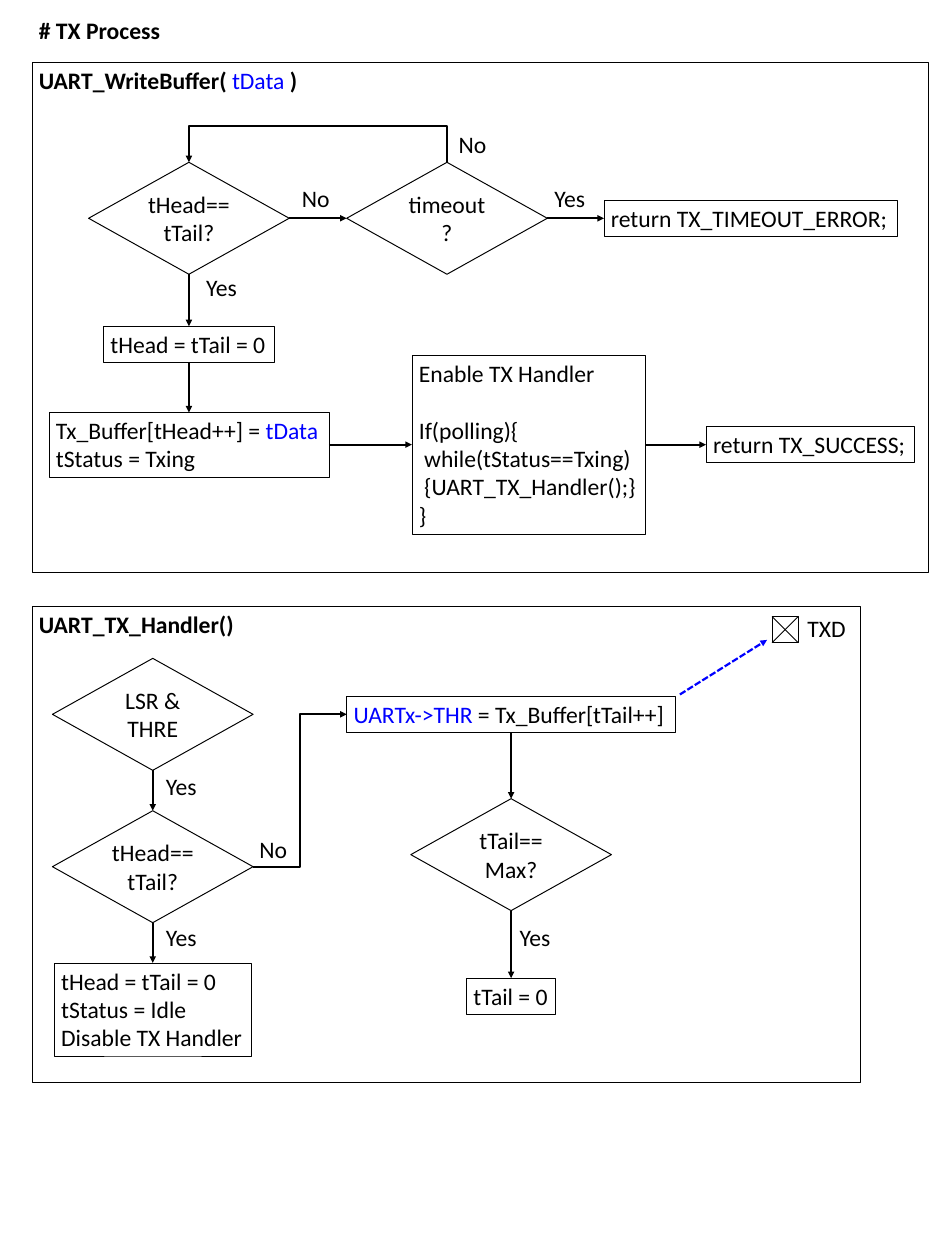
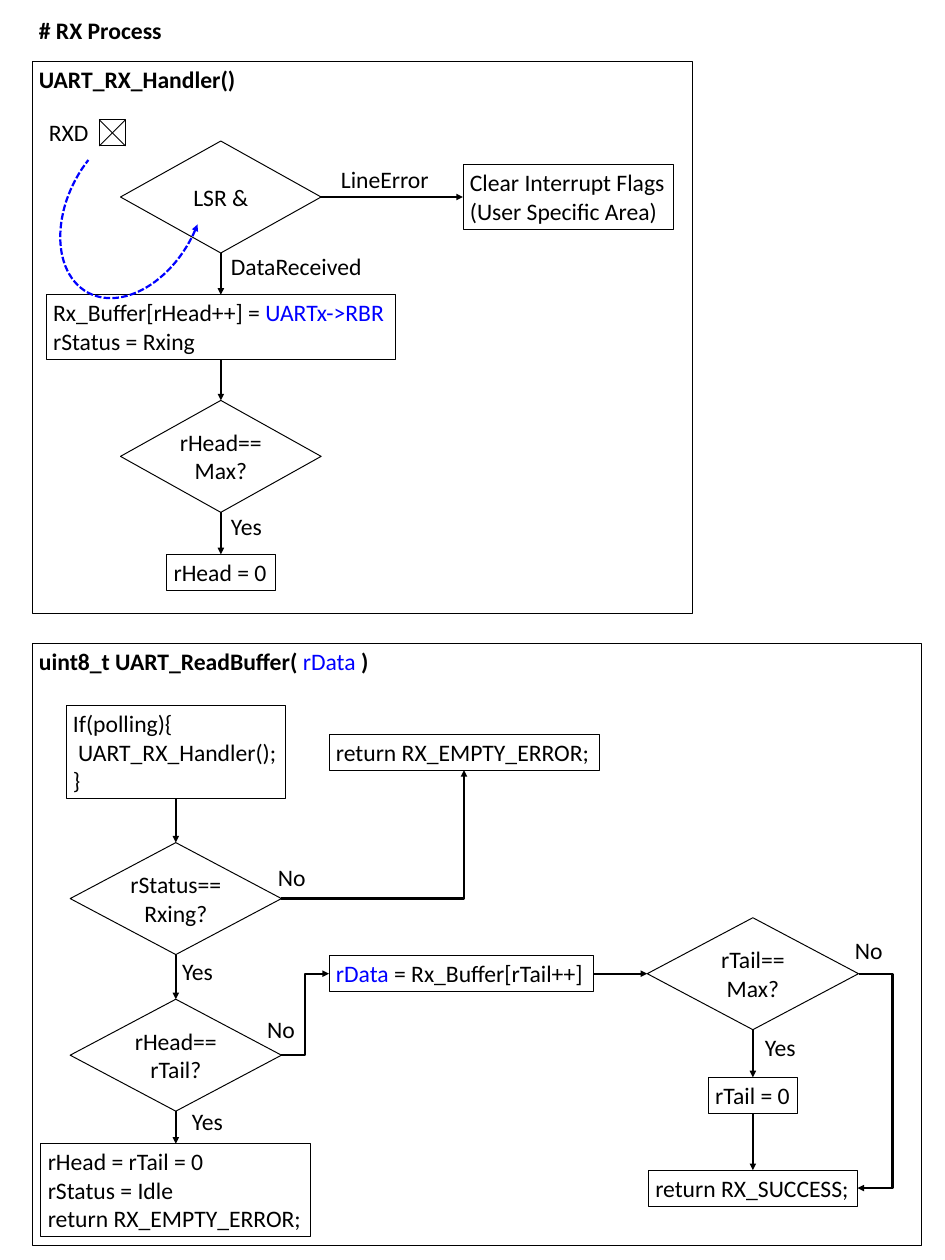
from dataclasses import dataclass

from lxml import etree
from pptx import Presentation
from pptx.dml.color import RGBColor
from pptx.enum.dml import MSO_LINE
from pptx.enum.shapes import MSO_CONNECTOR, MSO_SHAPE
from pptx.enum.text import MSO_ANCHOR, PP_ALIGN
from pptx.oxml.ns import qn
from pptx.util import Inches, Pt

RECTANGLE, DIAMOND, ARC = MSO_SHAPE.RECTANGLE, MSO_SHAPE.DIAMOND, MSO_SHAPE.ARC
STRAIGHT, ELBOW = MSO_CONNECTOR.STRAIGHT, MSO_CONNECTOR.ELBOW
LEFT_ALIGN, CENTRE_ALIGN = PP_ALIGN.LEFT, PP_ALIGN.CENTER
ANCHOR_TOP, ANCHOR_MIDDLE = MSO_ANCHOR.TOP, MSO_ANCHOR.MIDDLE
DASHED = MSO_LINE.SQUARE_DOT
TOP, LEFT, BOTTOM, RIGHT = range(4)


@dataclass(frozen=True)
class Theme:
    """Colours, type, line widths in points and sizes in grid cells."""

    ink: RGBColor = RGBColor(0, 0, 0)
    accent: RGBColor = RGBColor(0, 0, 255)
    paper: RGBColor = RGBColor(255, 255, 255)
    font: str = "Calibri"
    size: float = 24
    blank_line: float = 29
    frame_line: float = 0.75
    outline: float = 1
    flow_line: float = 2.25
    row: float = 4.04
    padding: float = 1.01
    diamond_width: float = 28.3
    diamond_height: float = 15.8
    pad: float = 3.7


THEME = Theme()


def cells(count):
    """Turn a count of grid cells, a tenth of an inch each, into a length."""
    return Inches(count / 10)


def text_height(rows):
    """Return the height in cells of a box with this many text rows."""
    return THEME.padding + THEME.row * rows


def write(holder, lines, bold=False, accent="", align=LEFT_ALIGN,
          anchor=ANCHOR_TOP, wrap=False, first_gap=0):
    """Write one paragraph per line, with the accent words in blue."""
    frame = holder.text_frame
    frame.word_wrap = wrap
    frame.vertical_anchor = anchor
    for index, line in enumerate(lines):
        para = frame.add_paragraph() if index else frame.paragraphs[0]
        para.alignment = align
        if first_gap and index == 0:
            para.space_after = Pt(first_gap)
        for text in line.partition(accent) if accent else (line,):
            if text:
                span = para.add_run()
                span.text = text
                font = span.font
                font.name, font.size = THEME.font, Pt(THEME.size)
                font.bold = bold and text != accent
                font.color.rgb = THEME.accent if text == accent else THEME.ink


def stroke(item, width, colour=THEME.ink, dash=None, head=None):
    """Draw the line of an item, with an optional headEnd or tailEnd arrow."""
    item.line.color.rgb = colour
    item.line.width = Pt(width)
    if dash:
        item.line.dash_style = dash
    properties = item._element.spPr
    if head:
        etree.SubElement(properties.find(qn("a:ln")), qn("a:" + head), type="triangle")
    if properties.find(qn("a:effectLst")) is None:
        etree.SubElement(properties, qn("a:effectLst"))


def outline_shape(shapes, kind, left, top, width, height, line, filled=False):
    """Add an outlined preset shape, white or without fill."""
    shape = shapes.add_shape(kind, *map(cells, (left, top, width, height)))
    shape.shadow.inherit = False
    if filled:
        shape.fill.solid()
        shape.fill.fore_color.rgb = THEME.paper
    else:
        shape.fill.background()
    stroke(shape, line)
    return shape


def add_label(shapes, left, top, text, width=6.4, bold=False):
    """Add a one-line text box."""
    box = shapes.add_textbox(*map(cells, (left, top, width, text_height(1))))
    write(box, [text], bold=bold)


class Panel:
    """A framed routine whose parts are placed from its top left corner."""

    def __init__(self, page, left, top, width, height, title, accent=""):
        """Draw the frame and its title."""
        self.shapes, self.left, self.top = page.shapes, left, top
        frame = outline_shape(page.shapes, RECTANGLE, left, top, width, height,
                              THEME.frame_line)
        write(frame, [title], bold=True, accent=accent)

    def at(self, x, y):
        """Return a place in the panel as cells on the page."""
        return self.left + x, self.top + y

    def box(self, x, y, width, *lines, accent="", first_gap=0):
        """Add a step centred on a point, as high as its text."""
        height = text_height(len(lines) + (1 if first_gap else 0))
        left, top = self.at(x - width / 2, y - height / 2)
        shape = outline_shape(self.shapes, RECTANGLE, left, top, width, height,
                              THEME.frame_line)
        write(shape, lines, accent=accent, first_gap=first_gap)
        return shape

    def choice(self, x, y, *lines, width=THEME.diamond_width):
        """Add a decision diamond centred on a point."""
        height = THEME.diamond_height
        left, top = self.at(x - width / 2, y - height / 2)
        shape = outline_shape(self.shapes, DIAMOND, left, top, width, height,
                              THEME.outline, filled=True)
        write(shape, lines, align=CENTRE_ALIGN, anchor=ANCHOR_MIDDLE, wrap=True)
        return shape

    def label(self, x, y, text, width=6.4):
        """Add the name of a branch."""
        add_label(self.shapes, *self.at(x, y), text, width)

    def join(self, start, start_side, end, end_side, kind=STRAIGHT):
        """Connect two shapes with an arrow."""
        arrow = self.shapes.add_connector(kind, 0, 0, 0, 0)
        arrow.begin_connect(start, start_side)
        arrow.end_connect(end, end_side)
        stroke(arrow, THEME.flow_line, head="tailEnd")
        return arrow

    def flow(self, *steps, sides=(BOTTOM, TOP)):
        """Connect consecutive steps, downwards unless told otherwise."""
        for start, end in zip(steps, steps[1:]):
            self.join(start, sides[0], end, sides[1])

    def loop(self, *points):
        """Draw a cornered arrow that runs outside the steps."""
        start, *rest = [tuple(map(cells, self.at(*point))) for point in points]
        builder = self.shapes.build_freeform(*start)
        builder.add_line_segments(rest, close=False)
        route = builder.convert_to_shape()
        route.shadow.inherit = False
        route.fill.background()
        stroke(route, THEME.flow_line, head="tailEnd")

    def pin(self, x, y, name, name_shift):
        """Add a crossed pin with its name beside it, as one group."""
        shapes = self.shapes.add_group_shape().shapes
        left, top = self.at(x, y)
        right, bottom = left + THEME.pad, top + THEME.pad
        outline_shape(shapes, RECTANGLE, left, top, THEME.pad, THEME.pad,
                      THEME.outline, filled=True)
        add_label(shapes, left + name_shift, top - 0.8, name, 7.6)
        for ends in ((right, top, left, bottom), (left, top, right, bottom)):
            stroke(shapes.add_connector(STRAIGHT, *map(cells, ends)), THEME.outline)


def draw_write_buffer(page, *area):
    """Draw the routine that queues a byte for sending."""
    panel = Panel(page, *area, "UART_WriteBuffer( tData )", accent="tData")
    main, upper, lower = 22.15, 22, 53.95
    full = panel.choice(main, upper, "tHead==", "tTail?")
    timeout = panel.choice(58.55, upper, "timeout?")
    error = panel.box(101.4, upper, 41.4, "return TX_TIMEOUT_ERROR;")
    reset = panel.box(main, 39.75, 24.1, "tHead = tTail = 0")
    store = panel.box(main, lower, 39.5, "Tx_Buffer[tHead++] = tData",
                      "tStatus = Txing", accent="tData")
    enable = panel.box(70.05, lower, 32.9, "Enable TX Handler", "If(polling){",
                       " while(tStatus==Txing)", " {UART_TX_Handler();}", "}",
                       first_gap=THEME.blank_line)
    success = panel.box(109.8, lower, 29.4, "return TX_SUCCESS;")
    panel.flow(full, reset, store)
    panel.flow(full, timeout, error, sides=(RIGHT, LEFT))
    panel.flow(store, enable, success, sides=(RIGHT, LEFT))
    panel.loop((58.55, 14.1), (58.55, 9), (main, 9), (main, 14.1))
    panel.label(23.6, 29.2, "Yes")
    panel.label(37.1, 16.6, "No")
    panel.label(72.7, 16.6, "Yes")
    panel.label(59.2, 9.1, "No")


def draw_tx_handler(page, *area):
    """Draw the routine that sends the queued bytes."""
    panel = Panel(page, *area, "UART_TX_Handler()")
    main, side, upper = 17.05, 67.6, 15.2
    ready = panel.choice(main, upper, "LSR & THRE")
    empty = panel.choice(main, 36.7, "tHead==", "tTail?")
    idle = panel.box(main, 56.85, 27.8, "tHead = tTail = 0", "tStatus = Idle",
                     "Disable TX Handler")
    send = panel.box(side, upper, 46.4, "UARTx->THR = Tx_Buffer[tTail++]",
                     accent="UARTx->THR")
    last = panel.choice(side, 35, "tTail==", "Max?")
    reset = panel.box(side, 54.95, 12.6, "tTail = 0")
    panel.flow(ready, empty, idle)
    panel.flow(send, last, reset)
    panel.join(empty, RIGHT, send, LEFT, ELBOW)
    panel.pin(104.4, 1.4, "TXD", 4)
    ends = panel.at(91.4, 12.4) + panel.at(103.7, 4.7)
    stroke(page.shapes.add_connector(STRAIGHT, *map(cells, ends)), THEME.flow_line,
           THEME.accent, DASHED, "tailEnd")
    panel.label(main + 0.85, 22.8, "Yes")
    panel.label(main + 0.85, 44.1, "Yes")
    panel.label(31.1, 31.7, "No")
    panel.label(side + 0.2, 44.1, "Yes")


def draw_rx_handler(page, *area):
    """Draw the routine that stores received bytes."""
    panel = Panel(page, *area, "UART_RX_Handler()")
    main, upper = 26.65, 19.1
    status = panel.choice(main, upper, "LSR &")
    clear = panel.box(75.65, upper, 29.7, "Clear Interrupt Flags", "(User Specific Area)")
    store = panel.box(main, 37.45, 49.3, "Rx_Buffer[rHead++] = UARTx->RBR",
                      "rStatus = Rxing", accent="UARTx->RBR")
    last = panel.choice(main, 55.7, "rHead==", "Max?")
    reset = panel.box(main, 72.05, 15.3, "rHead = 0")
    panel.flow(status, store, last, reset)
    panel.flow(status, clear, sides=(RIGHT, LEFT))
    panel.pin(9.5, 8.2, "RXD", -8.1)
    curve = outline_shape(page.shapes, ARC, *panel.at(5.1, 7.6), 18.3, 26.6,
                          THEME.flow_line)
    curve.adjustments[0], curve.adjustments[1] = 98.45, 11.69
    curve.rotation = 208.7
    stroke(curve, THEME.flow_line, THEME.accent, DASHED, "headEnd")
    panel.label(main + 0.45, 26.4, "DataReceived", 20.6)
    panel.label(42.6, 14.1, "LineError", 14.6)
    panel.label(main + 0.45, 63.1, "Yes")


def draw_read_buffer(page, *area):
    """Draw the routine that hands out a received byte."""
    panel = Panel(page, *area, "uint8_t UART_ReadBuffer( rData )", accent="rData")
    main, side, upper, middle, lower, wide = 20.3, 101.7, 15.35, 46.6, 76.85, 29.8
    poll = panel.box(main, upper, 31, "If(polling){", " UART_RX_Handler();", "}")
    status = panel.choice(main, 36, "rStatus==", "Rxing?", width=wide)
    empty = panel.choice(main, 58.1, "rHead==", "rTail?", width=wide)
    idle = panel.box(main, 77.15, 38.1, "rHead = rTail = 0", "rStatus = Idle",
                     "return RX_EMPTY_ERROR;")
    error = panel.box(60.95, upper, 38.1, "return RX_EMPTY_ERROR;")
    fetch = panel.box(60.55, middle, 37.3, "rData = Rx_Buffer[rTail++]", accent="rData")
    last = panel.choice(side, middle, "rTail==", "Max?", width=wide)
    reset = panel.box(side, 63.75, 12.6, "rTail = 0")
    success = panel.box(side, lower, 29.5, "return RX_SUCCESS;")
    panel.flow(poll, status, empty, idle)
    panel.flow(last, reset, success)
    panel.flow(fetch, last, sides=(RIGHT, LEFT))
    panel.join(empty, RIGHT, fetch, LEFT, ELBOW)
    corner = panel.join(status, RIGHT, error, BOTTOM, ELBOW)
    corner._element.spPr.find(qn("a:prstGeom")).set("prst", "bentConnector2")
    panel.loop((116.6, middle), (121.4, middle), (121.4, lower), (116.45, lower))
    panel.label(20.2, 43.7, "Yes")
    panel.label(21.6, 64.9, "Yes")
    panel.label(32.2, 51.9, "No")
    panel.label(33.7, 30.4, "No")
    panel.label(115.1, 40.7, "No")
    panel.label(side + 0.7, 54.5, "Yes")


def add_page(deck, title):
    """Add a blank page with its heading."""
    page = deck.slides.add_slide(deck.slide_layouts[6])
    add_label(page.shapes, 4.5, 1.7, title, 19.5, bold=True)
    return page


def main():
    """Build both pages and save the deck."""
    deck = Presentation()
    deck.slide_width, deck.slide_height = Inches(13.33), Inches(17.78)
    sending = add_page(deck, "# TX Process")
    draw_write_buffer(sending, 4.5, 8.8, 126.5, 71.9)
    draw_tx_handler(sending, 4.5, 85.6, 116.9, 67.1)
    receiving = add_page(deck, "# RX Process")
    draw_rx_handler(receiving, 4.5, 8.7, 93.1, 77.9)
    draw_read_buffer(receiving, 4.5, 90.8, 125.5, 84.9)
    deck.save("out.pptx")


if __name__ == "__main__":
    main()
